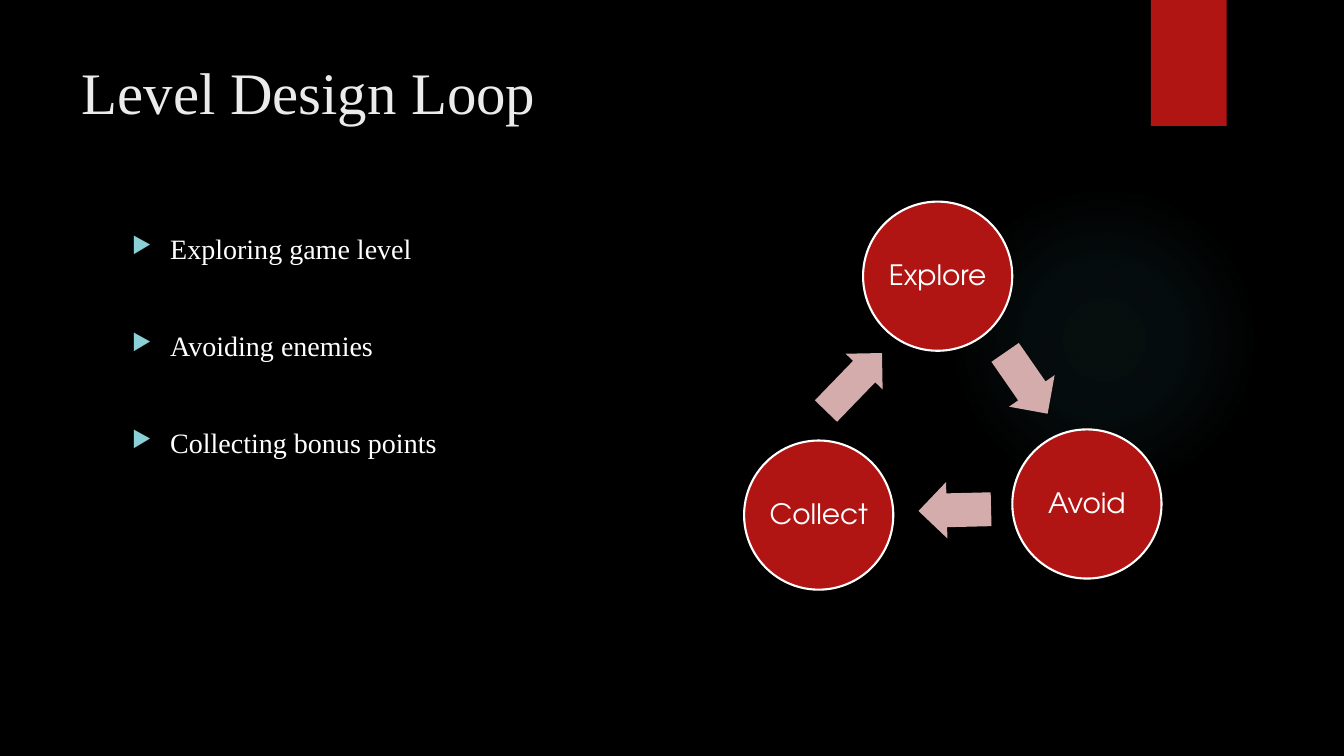
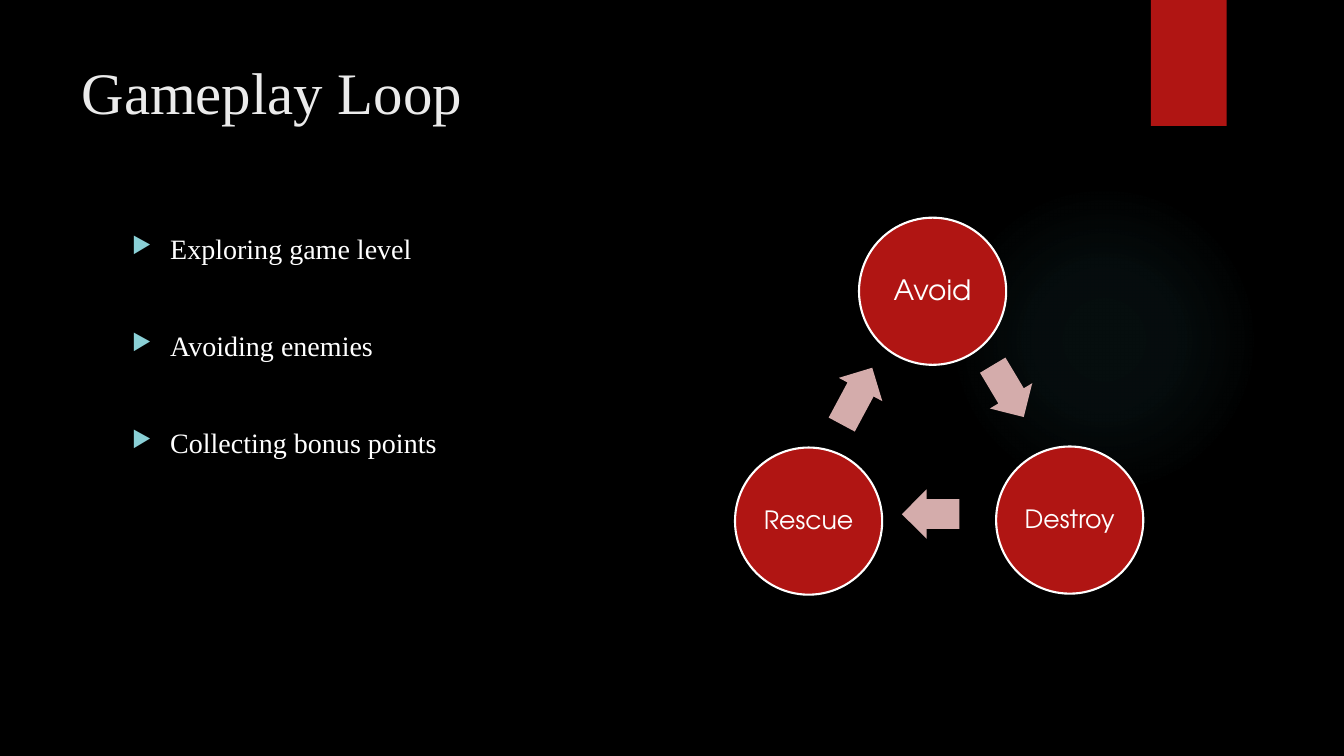
import pptx
import pptx.dml.color
import pptx.enum.shapes
import pptx.enum.text
import pptx.oxml
import pptx.oxml.ns
import pptx.util

SERIF = "Times New Roman"
SANS = "TeX Gyre Adventor"
RED, PINK, AQUA, GLOW = "B01513", "D4ACAB", "8AD0D6", "50B9C1"
WHITE, PALE, BLACK = "FFFFFF", "EBEBEB", "000000"

ACTIVITIES = ["Exploring game level", "Avoiding enemies", "Collecting bonus points"]

# circles: label, centre x, centre y, text size
# arrows: centre x, centre y, length, thickness, angle
LOOPS = [
    {
        "title": "Level Design Loop",
        "diameter": 1.48,
        "circles": [("Explore", 9.30, 2.74, 20), ("Avoid", 10.78, 5.00, 20), ("Collect", 8.12, 5.11, 20)],
        "arrows": [(10.18, 3.80, 0.74, 0.55, 55.3), (9.47, 5.06, 0.72, 0.56, 178.6), (8.47, 3.79, 0.80, 0.51, 314)],
    },
    {
        "title": "Gameplay Loop",
        "diameter": 1.46,
        "circles": [("Avoid", 9.25, 2.89, 20), ("Destroy", 10.61, 5.16, 18), ("Rescue", 8.02, 5.17, 18)],
        "arrows": [(10.00, 3.88, 0.60, 0.49, 59.1), (9.23, 5.10, 0.57, 0.49, 179.8), (8.50, 3.93, 0.64, 0.49, 298.2)],
    },
]

SHAPES = pptx.enum.shapes.MSO_SHAPE
ANCHOR = pptx.enum.text.MSO_ANCHOR
inches = pptx.util.Inches
points = pptx.util.Pt


def color(value):
    return pptx.dml.color.RGBColor.from_string(value)


def xml(tag, content):
    return pptx.oxml.parse_xml(f"<a:{tag} {pptx.oxml.ns.nsdecls('a')}{content}")


def paint(fill, value):
    fill.solid()
    fill.fore_color.rgb = color(value)


def style_text(paragraph, font_name, size, value):
    for run in paragraph.runs:
        run.font.name = font_name
        run.font.size = points(size)
        run.font.color.rgb = color(value)


def add_centered(shapes, kind, x, y, width, height, value):
    shape = shapes.add_shape(
        kind, inches(x - width / 2), inches(y - height / 2), inches(width), inches(height)
    )
    shape.shadow.inherit = False
    paint(shape.fill, value)
    shape.line.fill.background()
    return shape


def decorate_layout(layout, slide):
    paint(layout.background.fill, BLACK)
    glow = add_centered(slide.shapes, SHAPES.OVAL, 10.95, 3.37, 3.08, 3.08, GLOW)
    stops = "".join(
        f'<a:gs pos="{position}000"><a:srgbClr val="{GLOW}"><a:alpha val="{alpha}000"/></a:srgbClr></a:gs>'
        for position, alpha in [(0, 7), (36, 6), (69, 0)]
    )
    gradient = xml(
        "gradFill",
        f'><a:gsLst>{stops}</a:gsLst><a:path path="circle">'
        '<a:fillToRect l="50000" t="50000" r="50000" b="50000"/></a:path></a:gradFill>',
    )
    properties = glow._element.spPr
    properties.replace(properties.find(pptx.oxml.ns.qn("a:solidFill")), gradient)
    band = add_centered(slide.shapes, SHAPES.RECTANGLE, 11.79, 0.625, 0.75, 1.25, RED)
    for index, shape in enumerate([glow, band]):
        layout.shapes._spTree.insert(2 + index, shape._element)


def set_title(slide, text):
    title = slide.shapes.title
    title.left, title.top, title.width, title.height = map(inches, (0.71, 0.5, 10.29, 1.53))
    frame = title.text_frame
    frame.text = text
    frame.vertical_anchor = ANCHOR.TOP
    frame.auto_size = pptx.enum.text.MSO_AUTO_SIZE.NONE
    frame.paragraphs[0].alignment = pptx.enum.text.PP_ALIGN.LEFT
    style_text(frame.paragraphs[0], SERIF, 42, PALE)


def add_bullets(slide, items):
    frame = slide.shapes.add_textbox(*map(inches, (1.21, 2.25, 5.5, 4.59))).text_frame
    frame.word_wrap = True
    frame.text = "\n".join(items)
    for paragraph in frame.paragraphs:
        paragraph.space_after = points(45)
        style_text(paragraph, SERIF, 20, WHITE)
        properties = paragraph._p.get_or_add_pPr()
        indent = inches(0.38)
        properties.set("marL", str(indent))
        properties.set("indent", str(-indent))
        properties.append(xml("buClr", f'><a:srgbClr val="{AQUA}"/></a:buClr>'))
        properties.append(xml("buSzPct", ' val="80000"/>'))
        properties.append(xml("buChar", ' char="▶"/>'))


def add_loop(slide, loop):
    shapes = slide.shapes.add_group_shape().shapes
    diameter = loop["diameter"]
    for label, x, y, size in loop["circles"]:
        circle = add_centered(shapes, SHAPES.OVAL, x, y, diameter, diameter, RED)
        paint(circle.line.fill, WHITE)
        circle.line.width = points(1.5)
        frame = circle.text_frame
        frame.margin_left = frame.margin_right = frame.margin_top = frame.margin_bottom = inches(0.03)
        frame.vertical_anchor = ANCHOR.MIDDLE
        frame.text = label
        paragraph = frame.paragraphs[0]
        paragraph.alignment = pptx.enum.text.PP_ALIGN.CENTER
        paragraph.line_spacing = 0.9
        style_text(paragraph, SANS, size, WHITE)
    for x, y, length, thickness, angle in loop["arrows"]:
        arrow = add_centered(shapes, SHAPES.RIGHT_ARROW, x, y, length, thickness, PINK)
        arrow.adjustments[0] = 0.6
        arrow.adjustments[1] = 0.5
        arrow.rotation = angle


def main():
    presentation = pptx.Presentation()
    presentation.slide_width = inches(13.33)
    presentation.slide_height = inches(7.5)
    layout = presentation.slide_layouts.get_by_name("Title Only")
    for index, loop in enumerate(LOOPS):
        slide = presentation.slides.add_slide(layout)
        if index == 0:
            decorate_layout(layout, slide)
        set_title(slide, loop["title"])
        add_bullets(slide, ACTIVITIES)
        add_loop(slide, loop)
    presentation.save("out.pptx")


if __name__ == "__main__":
    main()
